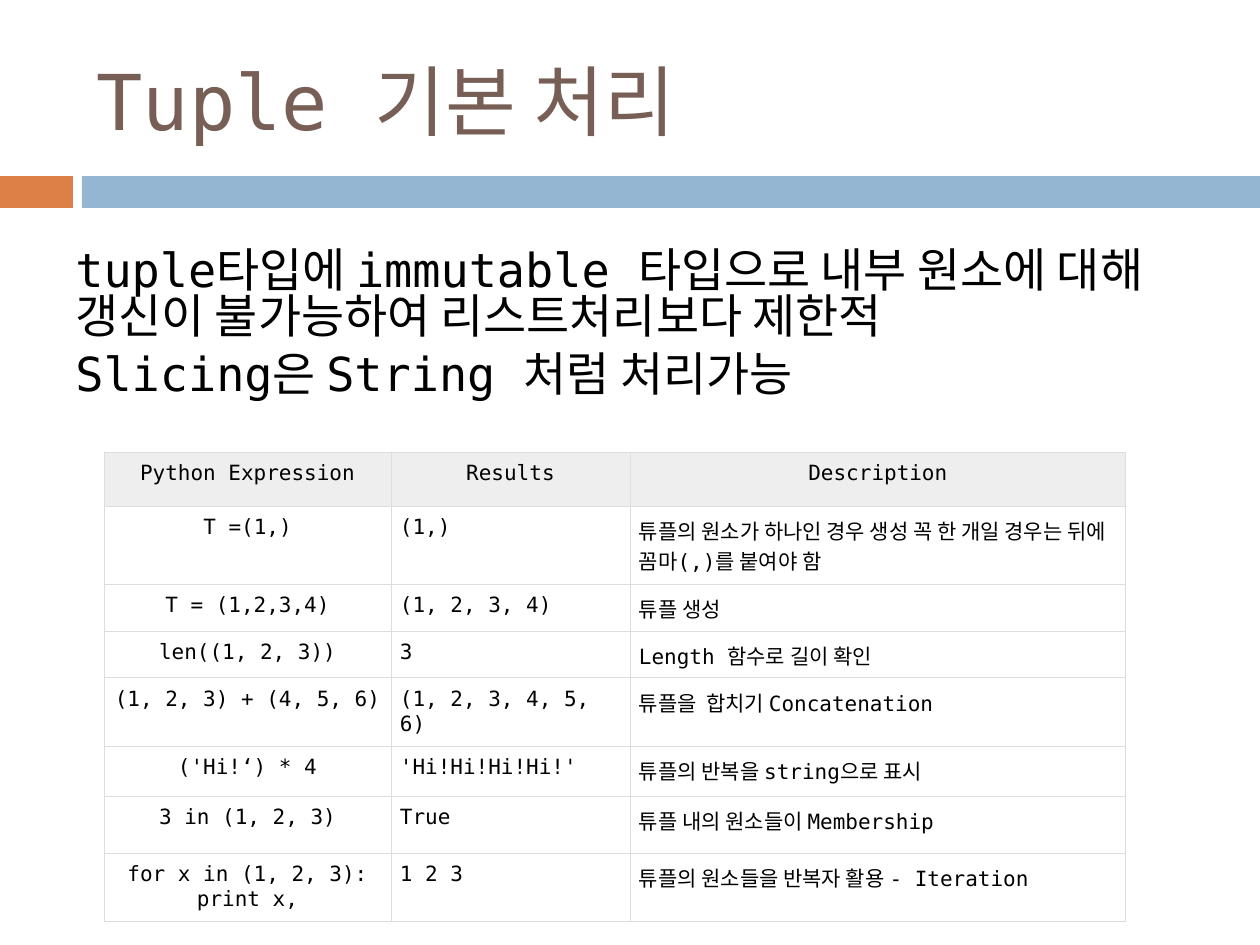
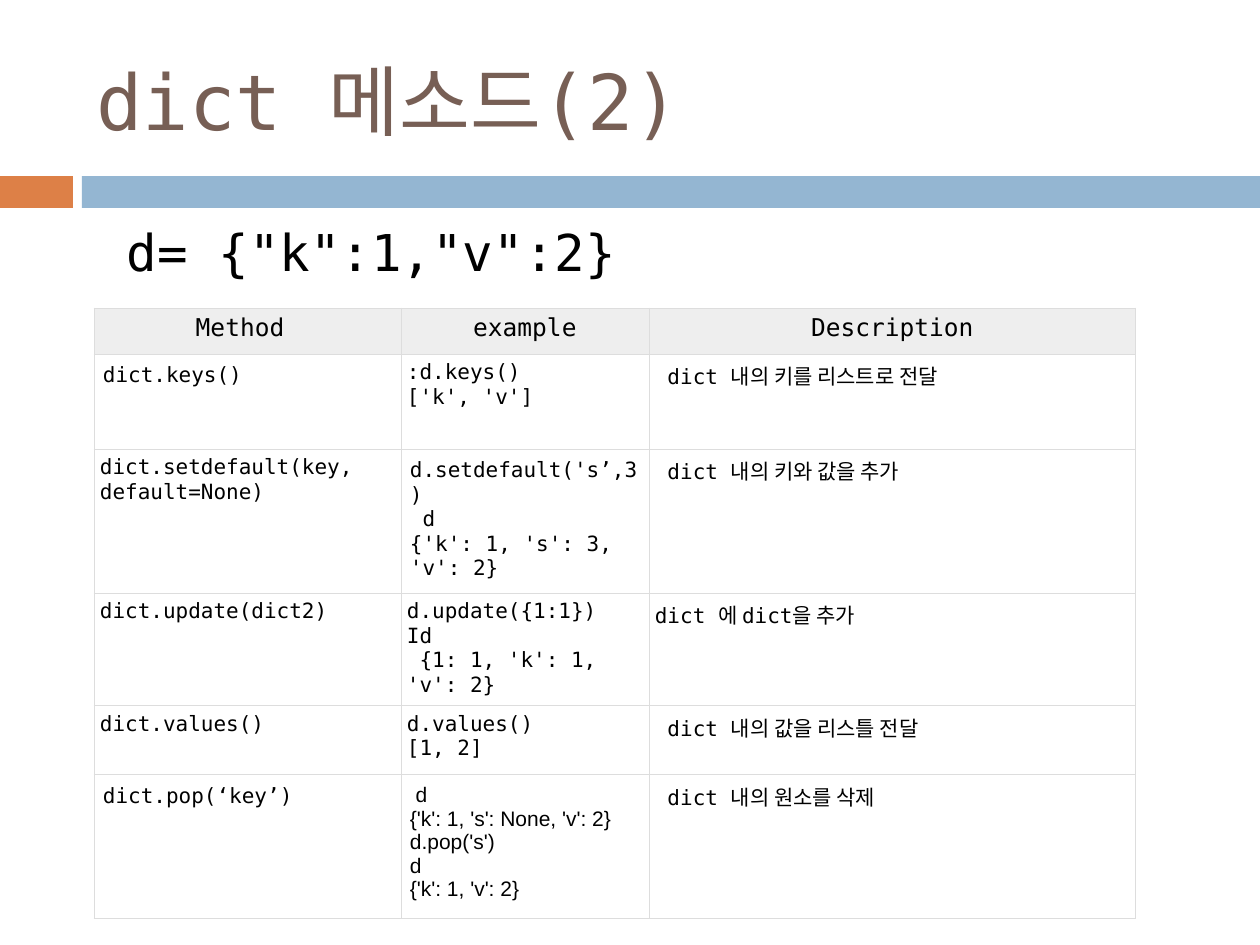
from dataclasses import dataclass

import pptx
import pptx.dml.color
import pptx.enum.shapes
import pptx.enum.text
import pptx.oxml
import pptx.oxml.ns
import pptx.util

PX = 914400 / 126
ALIGN = pptx.enum.text.PP_ALIGN
ANCHOR = pptx.enum.text.MSO_ANCHOR


# Theme: every colour, font and type size
@dataclass(frozen=True)
class Theme:
    mono: str = "DejaVu Sans Mono"
    sans: str = "Arial"
    title: str = "775F55"
    text: str = "000000"
    accent: str = "DD8047"
    band: str = "94B6D2"
    header: str = "EEEEEE"
    rule: str = "DDDDDD"
    rule_pt: float = 0.6
    title_pt: float = 44
    cell_pt: float = 12


THEME = Theme()


@dataclass(frozen=True)
class Box:
    x: int
    y: int
    w: int
    h: int

    def emu(self) -> list[int]:
        return [px(v) for v in (self.x, self.y, self.w, self.h)]


@dataclass(frozen=True)
class Band:
    box: Box
    color: str


@dataclass(frozen=True)
class Text:
    box: Box
    text: str
    size: float
    color: str = THEME.text
    anchor: ANCHOR = ANCHOR.TOP
    before: float = 0
    spacing: float = 1.0


@dataclass(frozen=True)
class Cell:
    text: str
    inset: int = 6
    font: str = THEME.mono


@dataclass(frozen=True)
class Grid:
    box: Box
    cols: list[int]
    rows: list[int]
    cells: list[list[Cell]]
    header_pt: float
    centered_cols: tuple[int, ...] = ()


@dataclass(frozen=True)
class Page:
    title: str
    body: Text
    grid: Grid


BANDS = [
    Band(Box(0, 176, 73, 32), THEME.accent),
    Band(Box(82, 176, 1178, 32), THEME.band),
]
TITLE_BOX = Box(84, 32, 1124, 136)


def px(n: int) -> int:
    return round(n * PX)


def rgb(color: str) -> pptx.dml.color.RGBColor:
    return pptx.dml.color.RGBColor.from_string(color)


def apply(target: object, values: dict) -> None:
    for name, value in values.items():
        setattr(target, name, value)


def style_text(tf, font: str, size: float, color: str, para: dict) -> None:
    for p in tf.paragraphs:
        apply(p, para)
        for r in p.runs:
            apply(r.font, {"name": font, "size": pptx.util.Pt(size)})
            r.font.color.rgb = rgb(color)


def add_band(s, band: Band) -> None:
    sp = s.shapes.add_shape(pptx.enum.shapes.MSO_SHAPE.RECTANGLE, *band.box.emu())
    sp.shadow.inherit = False
    sp.fill.solid()
    sp.fill.fore_color.rgb = rgb(band.color)
    sp.line.fill.background()


def add_text(s, item: Text) -> None:
    tf = s.shapes.add_textbox(*item.box.emu()).text_frame
    apply(tf, {"word_wrap": True, "vertical_anchor": item.anchor, "text": item.text})
    para = {"space_before": pptx.util.Pt(item.before), "line_spacing": item.spacing}
    style_text(tf, THEME.mono, item.size, item.color, para)


def add_borders(cell) -> None:
    # Borders come before the fill in the cell properties
    tc_pr = cell._tc.get_or_add_tcPr()
    for i, side in enumerate(("lnL", "lnR", "lnT", "lnB")):
        tc_pr.insert(i, pptx.oxml.parse_xml(
            f'<a:{side} {pptx.oxml.ns.nsdecls("a")} w="{round(THEME.rule_pt * 12700)}">'
            f'<a:solidFill><a:srgbClr val="{THEME.rule}"/></a:solidFill></a:{side}>'))


def add_grid(s, grid: Grid) -> None:
    tbl = s.shapes.add_table(len(grid.rows), len(grid.cols), *grid.box.emu()).table
    apply(tbl, {"first_row": False, "horz_banding": False})
    for col, width in zip(tbl.columns, grid.cols):
        col.width = px(width)
    for row, height in zip(tbl.rows, grid.rows):
        row.height = px(height)
    for i, line in enumerate(grid.cells):
        for j, item in enumerate(line):
            cell = tbl.cell(i, j)
            sides = ("left", "right", "top", "bottom")
            apply(cell, {f"margin_{side}": px(item.inset) for side in sides})
            cell.text = item.text
            if i == 0:
                cell.fill.solid()
                cell.fill.fore_color.rgb = rgb(THEME.header)
            else:
                cell.fill.background()
            centered = i == 0 or j in grid.centered_cols
            size = grid.header_pt if i == 0 else THEME.cell_pt
            para = {"alignment": ALIGN.CENTER if centered else ALIGN.LEFT}
            style_text(cell.text_frame, item.font, size, THEME.text, para)
            add_borders(cell)


# Slide content
TUPLE_ROWS = [
    ("Python Expression", "Results", "Description"),
    ("T =(1,)", "(1,)", "튜플의 원소가 하나인 경우 생성 꼭 한 개일 경우는 뒤에 꼼마(,)를 붙여야 함"),
    ("T = (1,2,3,4)", "(1, 2, 3, 4)", "튜플 생성"),
    ("len((1, 2, 3))", "3", "Length 함수로 길이 확인"),
    ("(1, 2, 3) + (4, 5, 6)", "(1, 2, 3, 4, 5, 6)", "튜플을  합치기 Concatenation"),
    ("('Hi!‘) * 4", "'Hi!Hi!Hi!Hi!'", "튜플의 반복을 string으로 표시"),
    ("3 in (1, 2, 3)", "True", "튜플 내의 원소들이 Membership"),
    ("for x in (1, 2, 3): print x,", "1 2 3", "튜플의 원소들을 반복자 활용 - Iteration"),
]

DICT_CELLS = [
    [Cell("Method "), Cell("example"), Cell("Description")],
    [Cell("dict.keys()", 9), Cell(":d.keys()\n['k', 'v']"),
     Cell(" dict 내의 키를 리스트로 전달")],
    [Cell("dict.setdefault(key, default=None)"),
     Cell("d.setdefault('s’,3)\n d\n{'k': 1, 's': 3, 'v': 2}", 9),
     Cell(" dict 내의 키와 값을 추가")],
    [Cell("dict.update(dict2)"), Cell("d.update({1:1})\nId\n {1: 1, 'k': 1, 'v': 2}"),
     Cell("dict 에 dict을 추가")],
    [Cell("dict.values()"), Cell("d.values()\n[1, 2]"),
     Cell(" dict 내의 값을 리스틀 전달")],
    [Cell("dict.pop(‘key’)", 9),
     Cell(" d\n{'k': 1, 's': None, 'v': 2}\nd.pop('s')\nd\n{'k': 1, 'v': 2}", 9, THEME.sans),
     Cell(" dict 내의 원소를 삭제")],
]

PAGES = [
    Page(
        "Tuple 기본 처리",
        Text(Box(63, 244, 1134, 189),
             "tuple타입에 immutable 타입으로 내부 원소에 대해 갱신이 불가능하여 "
             "리스트처리보다 제한적\nSlicing은 String 처럼 처리가능",
             26.8, before=7, spacing=0.82),
        Grid(Box(104, 452, 1022, 465), [287, 239, 496],
             [54, 78, 47, 47, 66, 50, 57, 66],
             [[Cell(text, 9) for text in row] for row in TUPLE_ROWS],
             header_pt=12, centered_cols=(0,)),
    ),
    Page(
        "dict 메소드(2)",
        Text(Box(84, 221, 1124, 142), ' d= {"k":1,"v":2}', 29, before=7, spacing=0.9),
        Grid(Box(94, 308, 1042, 595), [307, 248, 487],
             [46, 95, 140, 111, 69, 134], DICT_CELLS, header_pt=14),
    ),
]


def add_page(prs, page: Page) -> None:
    s = prs.slides.add_slide(prs.slide_layouts[6])
    for band in BANDS:
        add_band(s, band)
    add_text(s, Text(TITLE_BOX, page.title, THEME.title_pt, THEME.title, ANCHOR.MIDDLE))
    add_text(s, page.body)
    add_grid(s, page.grid)


def main() -> None:
    prs = pptx.Presentation()
    apply(prs, {"slide_width": px(1260), "slide_height": px(945)})
    for page in PAGES:
        add_page(prs, page)
    prs.save("out.pptx")


if __name__ == "__main__":
    main()
